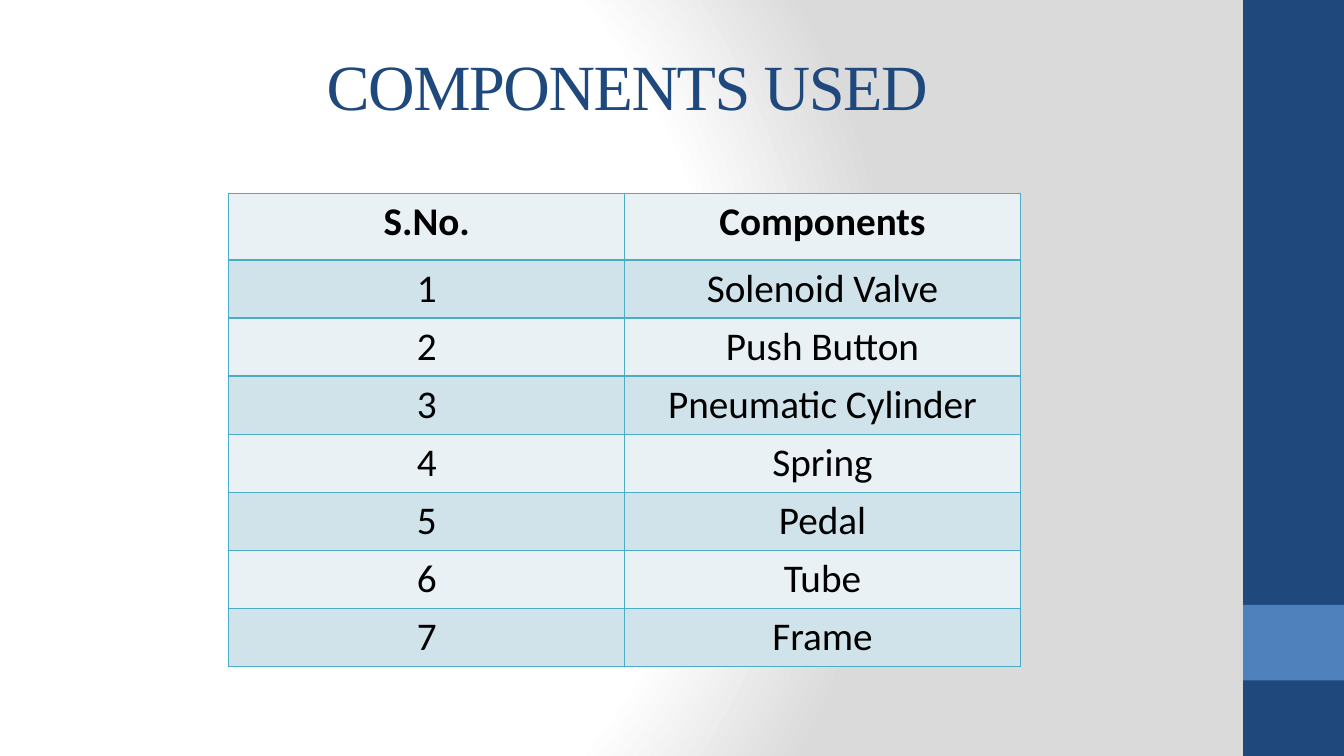
"""Build the slide that lists the components used."""
from dataclasses import dataclass

from lxml.etree import SubElement
from pptx import Presentation
from pptx.dml.color import RGBColor
from pptx.enum.shapes import MSO_SHAPE
from pptx.enum.text import MSO_ANCHOR, MSO_AUTO_SIZE, PP_ALIGN
from pptx.oxml import parse_xml
from pptx.oxml.ns import nsdecls, qn
from pptx.util import Inches, Pt


@dataclass(frozen=True)
class Theme:
    """Colours, fonts and type sizes of the slide."""
    navy: str = "1F497D"
    blue: str = "4F81BD"
    border: str = "4BACC6"
    ink: str = "000000"
    bands: tuple = ("E9F1F5", "D0E3EA")
    glow: tuple = ((0, "FFFFFF"), (75, "FFFFFF"), (100, "DADADA"))
    title_font: str = "Times New Roman"
    body_font: str = "Calibri"
    title_size: int = 46
    body_size: int = 28


def add_span(para, text, font, size, colour, bold=False):
    """Add one centred, formatted run to a paragraph."""
    para.alignment = PP_ALIGN.CENTER
    span = para.add_run()
    span.text = text
    span.font.name = font
    span.font.size = Pt(size)
    span.font.bold = bold
    span.font.color.rgb = RGBColor.from_string(colour)
    return span


def add_borders(cell, colour):
    """Draw a one-point line on every side of a cell."""
    properties = cell._tc.get_or_add_tcPr()
    for place, side in enumerate(("lnL", "lnR", "lnT", "lnB")):
        properties.insert(place, parse_xml(
            f'<a:{side} {nsdecls("a")} w="{Pt(1)}"><a:solidFill>'
            f'<a:srgbClr val="{colour}"/></a:solidFill></a:{side}>'))


theme = Theme()
deck = Presentation()
deck.slide_width, deck.slide_height = Inches(13.33), Inches(7.5)
page = deck.slides.add_slide(deck.slide_layouts.get_by_name("Title Only"))

page.background.fill.solid()
backdrop = page.element.find(".//" + qn("p:bgPr"))
gradient = parse_xml(
    f'<a:gradFill {nsdecls("a")} rotWithShape="1"><a:gsLst/><a:path path="circle">'
    '<a:fillToRect l="20000" t="50000" r="100000" b="50000"/></a:path></a:gradFill>')
for share, colour in theme.glow:
    stop = SubElement(gradient[0], qn("a:gs"), pos=str(share * 1000))
    SubElement(stop, qn("a:srgbClr"), val=colour)
backdrop.replace(backdrop[0], gradient)

sidebar_width = Inches(1)
sidebar_left = deck.slide_width - sidebar_width
for top_share, height_share, colour in ((0, 1, theme.navy), (0.8, 0.1, theme.blue)):
    sidebar = page.shapes.add_shape(
        MSO_SHAPE.RECTANGLE, sidebar_left, int(deck.slide_height * top_share),
        sidebar_width, int(deck.slide_height * height_share))
    sidebar.shadow.inherit = False
    sidebar.fill.solid()
    sidebar.fill.fore_color.rgb = RGBColor.from_string(colour)
    sidebar.line.fill.background()

title = page.shapes.title
title.left, title.top = Inches(2.28), Inches(0.4)
title.width, title.height = Inches(7.88), Inches(0.88)
title.text_frame.auto_size = MSO_AUTO_SIZE.NONE
title.text_frame.vertical_anchor = MSO_ANCHOR.MIDDLE
heading = add_span(title.text_frame.paragraphs[0], "COMPONENTS USED",
                   theme.title_font, theme.title_size, theme.navy)
heading._r.get_or_add_rPr().set("spc", "-100")

components = ("Solenoid Valve", "Push Button", "Pneumatic Cylinder", "Spring",
              "Pedal", "Tube", "Frame")
records = [("S.No.", "Components")]
records += [(str(number), name) for number, name in enumerate(components, 1)]
header_height, row_height = Inches(0.66), Inches(0.43)
table = page.shapes.add_table(
    len(records), 2, Inches(2.27), Inches(1.92), Inches(7.85),
    header_height + row_height * len(components)).table
for row, record in enumerate(records):
    table.rows[row].height = row_height if row else header_height
    for column, text in enumerate(record):
        cell = table.cell(row, column)
        cell.fill.solid()
        cell.fill.fore_color.rgb = RGBColor.from_string(theme.bands[row % 2])
        add_borders(cell, theme.border)
        add_span(cell.text_frame.paragraphs[0], text, theme.body_font,
                 theme.body_size, theme.ink, bold=row == 0)

deck.save("out.pptx")
